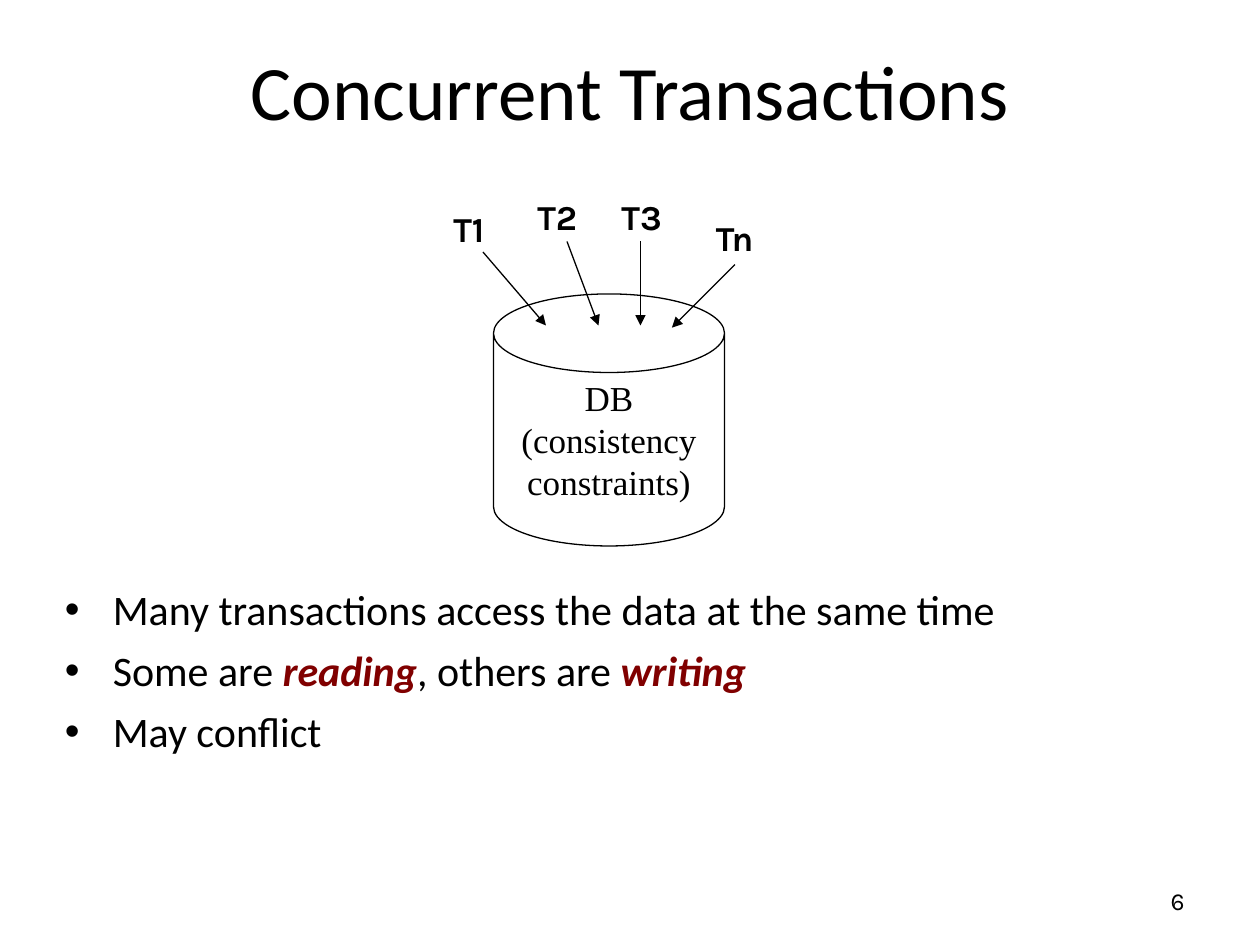
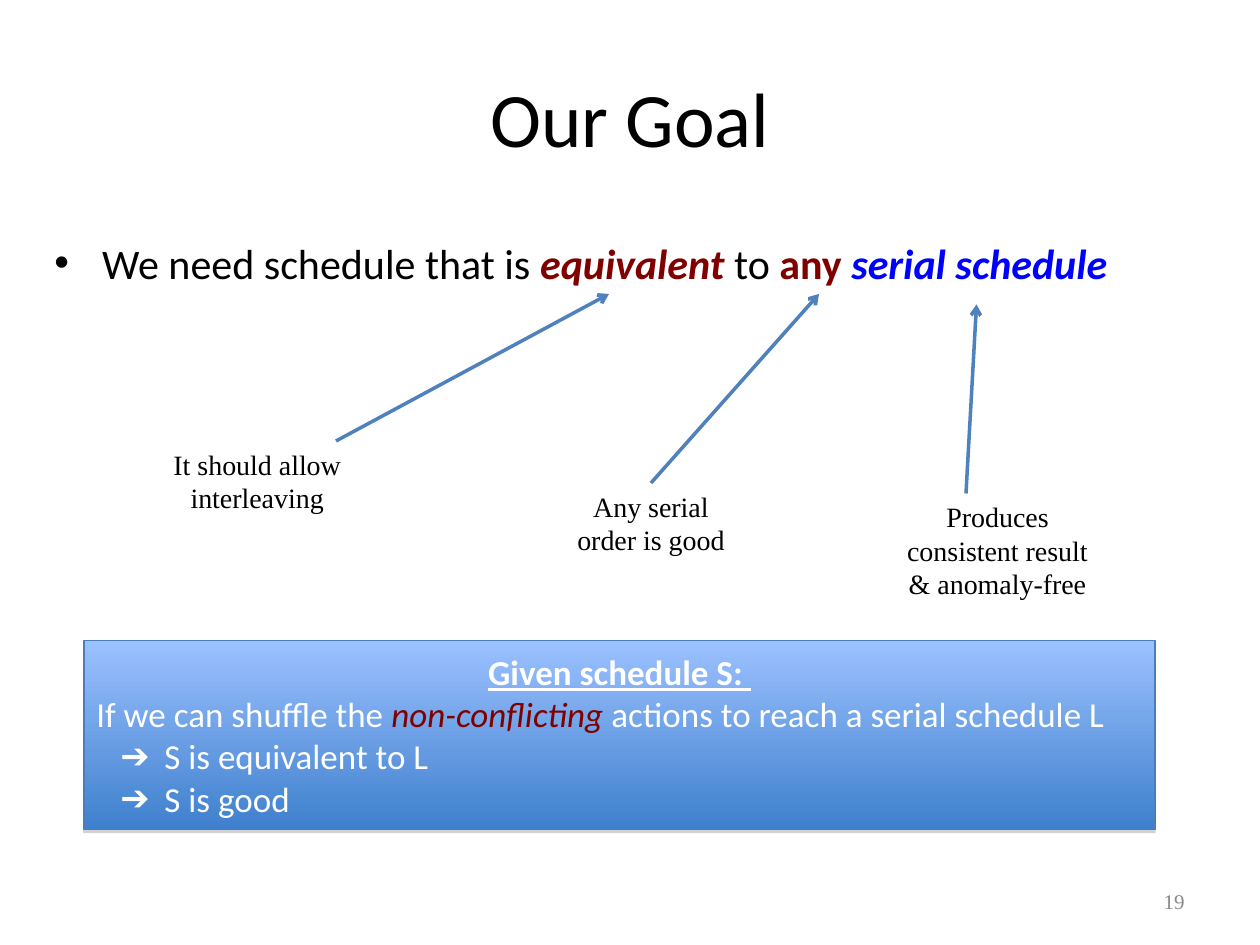
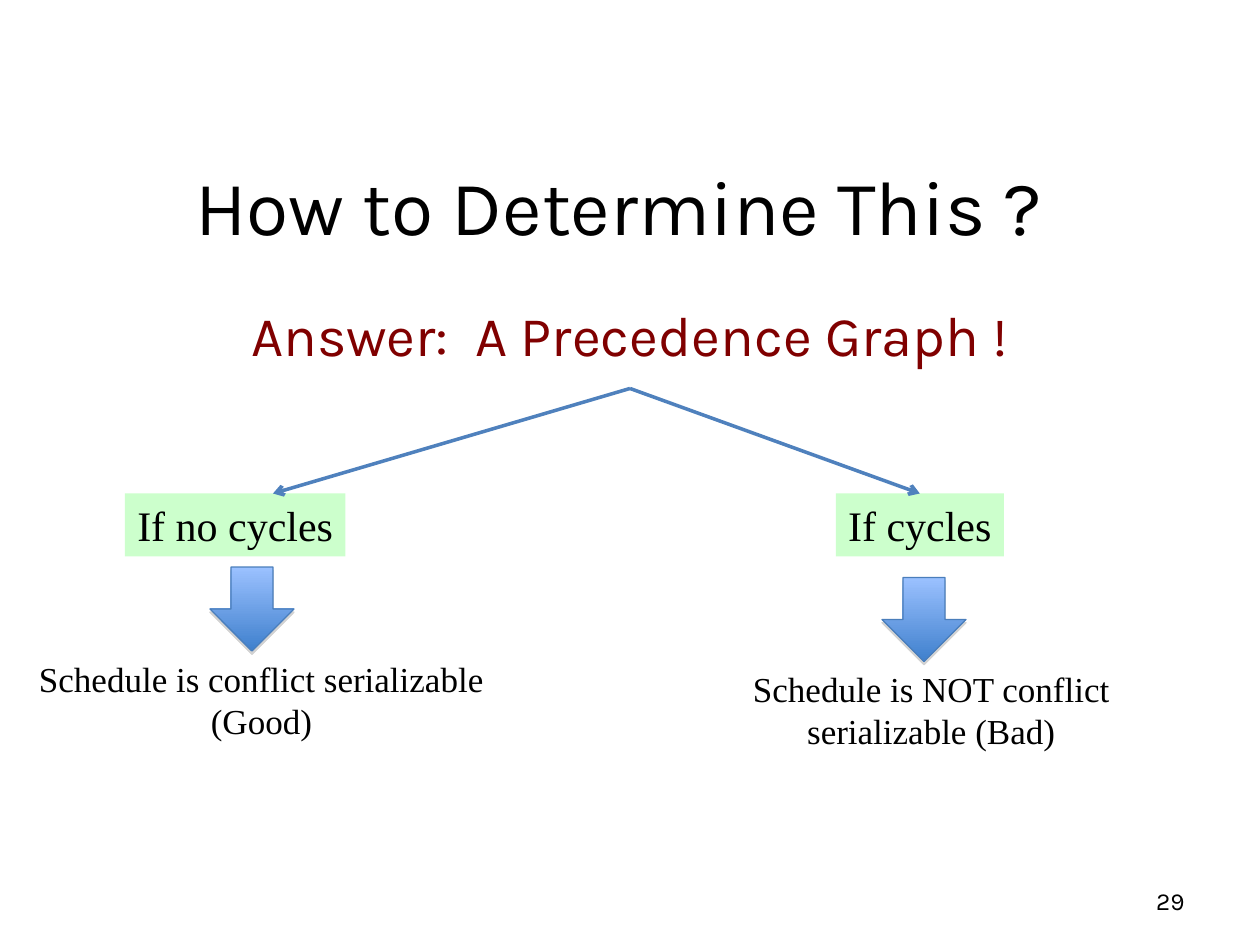
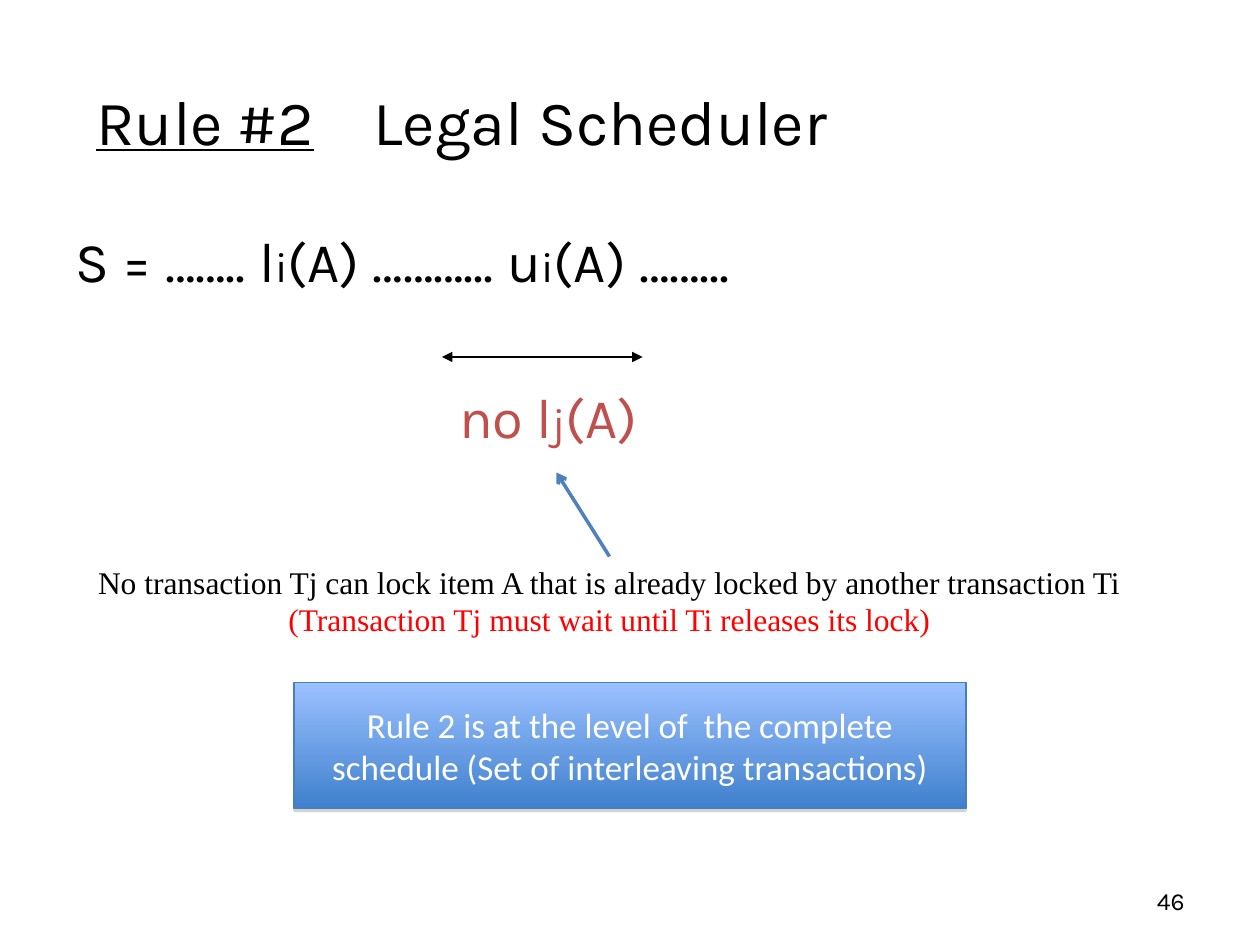
from lxml import etree
from pptx import Presentation
from pptx import util as u
from pptx.dml.color import RGBColor
from pptx.enum import shapes as kinds, text as t
from pptx.oxml.ns import qn

COLUMNS, ROWS = 120, 90
WIDTH, HEIGHT = u.Inches(10), u.Inches(7.5)

BLACK = RGBColor(0x00, 0x00, 0x00)
WHITE = RGBColor(0xFF, 0xFF, 0xFF)
MAROON = RGBColor(0x80, 0x00, 0x00)
BLUE = RGBColor(0x00, 0x00, 0xFF)
RED = RGBColor(0xFF, 0x00, 0x00)
BRICK = RGBColor(0xC0, 0x50, 0x4D)
GREY = RGBColor(0x89, 0x89, 0x89)
MINT = RGBColor(0xCC, 0xFF, 0xCC)
ARROW_BLUE = RGBColor(0x4F, 0x81, 0xBD)
EDGE_BLUE = RGBColor(0x4A, 0x7E, 0xBB)
PANEL_TOP = RGBColor(0x9B, 0xC1, 0xFF)
PANEL_BOTTOM = RGBColor(0x3F, 0x80, 0xCD)

SANS, SERIF, KARLA = "Calibri", "Times New Roman", "Karla"
LEFT, CENTER, RIGHT = t.PP_ALIGN.LEFT, t.PP_ALIGN.CENTER, t.PP_ALIGN.RIGHT
TOP, MIDDLE = t.MSO_ANCHOR.TOP, t.MSO_ANCHOR.MIDDLE
SHAPE = kinds.MSO_SHAPE

STRONG = dict(color=MAROON, bold=True, italic=True)
BULLET = dict(font=SANS, size=24, before=6, bullet="•", margin=0.38, hang=0.38)
THIN = dict(color=BLACK, width=0.75, tail="triangle")


def col(n):
    return round(WIDTH * n / COLUMNS)


def row(n):
    return round(HEIGHT * n / ROWS)


def place(box):
    left, top, width, height = box
    return col(left), row(top), col(width), row(height)


def within(box, left, top, width, height):
    return box[0] + left, box[1] + top, width, height


def point(box, x, y):
    return box[0] + x, box[1] + y


def child(parent, tag, **attributes):
    return etree.SubElement(parent, qn(tag), {k: str(v) for k, v in attributes.items()})


def style(run, font=SERIF, size=20, color=BLACK, bold=False, italic=False, underline=False):
    run.font.name = font
    run.font.size = u.Pt(size)
    run.font.color.rgb = color
    run.font.bold, run.font.italic, run.font.underline = bold, italic, underline


def write(frame, content, align=LEFT, before=0, bullet=None, margin=0, hang=0, tab=None, **look):
    first = frame.paragraphs[0]
    paragraph = frame.add_paragraph() if first.runs else first
    paragraph.alignment = align
    paragraph.space_before = u.Pt(before)
    properties = paragraph._p.get_or_add_pPr()
    if bullet:
        properties.set("marL", str(u.Inches(margin)))
        properties.set("indent", str(-u.Inches(hang)))
        child(properties, "a:buFont", typeface="Arial")
        child(properties, "a:buChar", char=bullet)
    if tab:
        child(child(properties, "a:tabLst"), "a:tab", pos=u.Inches(tab), algn="l")
    for piece in [content] if isinstance(content, str) else content:
        words, changes = (piece, {}) if isinstance(piece, str) else piece
        run = paragraph.add_run()
        run.text = words
        style(run, **{**look, **changes})


def text_box(shapes, box, *paragraphs, anchor=TOP, wrap=True, **look):
    label = shapes.add_textbox(*place(box))
    label.text_frame.word_wrap = wrap
    label.text_frame.vertical_anchor = anchor
    for content in paragraphs:
        write(label.text_frame, content, **look)
    return label


def outlined(shapes, kind, box, line=None):
    shape = shapes.add_shape(kind, *place(box))
    shape.shadow.inherit = False
    if line is None:
        shape.line.fill.background()
    else:
        shape.line.color.rgb = line
        shape.line.width = u.Pt(0.75)
    return shape


def glossy(shapes, kind, box):
    shape = outlined(shapes, kind, box, EDGE_BLUE)
    shape.fill.gradient()
    shape.fill.gradient_angle = 270
    for stop, color in zip(shape.fill.gradient_stops, (PANEL_TOP, PANEL_BOTTOM)):
        stop.color.rgb = color
    for stop, position in zip(shape.fill.gradient_stops, (0, 1)):
        stop.position = position
    effects = shape._element.spPr.find(qn("a:effectLst"))
    shadow = child(effects, "a:outerShdw", blurRad=0, dist=u.Pt(1.8), dir=5400000, rotWithShape=0)
    child(child(shadow, "a:srgbClr", val="808080"), "a:alpha", val=35000)
    shape.text_frame.word_wrap = True
    shape.text_frame.vertical_anchor = MIDDLE
    return shape


def arrow(shapes, start, end, color=ARROW_BLUE, width=2, head=None, tail="arrow"):
    line = shapes.add_connector(kinds.MSO_CONNECTOR.STRAIGHT,
                                col(start[0]), row(start[1]), col(end[0]), row(end[1]))
    line.line.color.rgb = color
    line.line.width = u.Pt(width)
    ends = line.line._get_or_add_ln()
    if head:
        child(ends, "a:headEnd", type=head)
    child(ends, "a:tailEnd", type=tail)
    child(line._element.spPr, "a:effectLst")
    return line


def title(shapes, box, content, font=SANS, size=44, align=CENTER, **look):
    text_box(shapes, box, content, anchor=MIDDLE, font=font, size=size, align=align, **look)


def page_number(shapes, number, font=KARLA, size=14, color=BLACK):
    text_box(shapes, (86, 83.4, 28, 4.8), number, anchor=MIDDLE, align=RIGHT,
             font=font, size=size, color=color)


def database(shapes, box):
    can = outlined(shapes, SHAPE.CAN, within(box, 5, 10, 22, 24), BLACK)
    can.adjustments[0] = 0.34
    can.fill.solid()
    can.fill.fore_color.rgb = WHITE
    can.text_frame.word_wrap = False
    can.text_frame.vertical_anchor = MIDDLE
    for words in ("DB", "(consistency", "constraints)"):
        write(can.text_frame, words, align=CENTER)
    transactions = (
        ("T1", (0, 1.2), (4, 6), (10, 13)),
        ("T2", (8, 0), (12, 5), (15, 13)),
        ("T3", (16, 0), (19, 5), (19, 13)),
        ("Tn", (25, 2), (28, 7.2), (22, 13.2)),
    )
    for name, corner, start, end in transactions:
        text_box(shapes, within(box, *corner, 9, 6), name, font=KARLA, bold=True, before=5)
        arrow(shapes, point(box, *start), point(box, *end), **THIN)


def reason(shapes, box, words, start, end, joined=False):
    group = shapes.add_group_shape().shapes
    note = text_box(group, box, words, size=16, align=CENTER)
    pointer = arrow(group, start, end)
    if joined:
        pointer.begin_connect(note, 0)


def shuffle_panel(shapes, box):
    frame = glossy(shapes, SHAPE.RECTANGLE, box).text_frame
    look = dict(font=SANS, color=WHITE)
    write(frame, "Given schedule S: ", align=CENTER, bold=True, underline=True, **look)
    write(frame, ["If we can shuffle the ",
                  ("non-conflicting ", dict(color=MAROON, italic=True)),
                  "actions to reach a serial schedule L"], **look)
    for result in ("S is equivalent to L", "S is good"):
        write(frame, result, bullet="➔", margin=0.54, hang=0.35, **look)


def outcome(shapes, box, case, case_left, case_width, verdict, arrow_left, arrow_top):
    tag = outlined(shapes, SHAPE.RECTANGLE, within(box, case_left, 0, case_width, 6))
    tag.fill.solid()
    tag.fill.fore_color.rgb = MINT
    tag.text_frame.word_wrap = False
    tag.text_frame.vertical_anchor = TOP
    write(tag.text_frame, case, size=24, align=CENTER)
    glossy(shapes, SHAPE.DOWN_ARROW, within(box, arrow_left, arrow_top, 8, 8))
    text_box(shapes, within(box, 0, arrow_top + 8, box[2], 9.2), verdict, align=CENTER)
    return tag


def lock_interval(shapes, box):
    y = box[1] + 2
    arrow(shapes, (box[0] + 0.9, y), (box[0] + 20, y), head="triangle", **THIN)
    text_box(shapes, within(box, 0, 3.8, box[2], 7.7),
             [" ", "no l", ("j", dict(size=24)), "(A)"],
             anchor=MIDDLE, wrap=False, align=CENTER, font=KARLA, size=32, color=BRICK)


def concurrent_transactions(shapes):
    database(shapes, (42, 18, 34, 34))
    title(shapes, (6, 1, 108, 15), "Concurrent Transactions")
    text_box(shapes, (5, 55, 111, 19.4),
             "Many transactions access the data at the same time",
             ["Some are ", ("reading", STRONG), ", others are ", ("writing", STRONG)],
             "May conflict", **BULLET)
    page_number(shapes, "6")


def our_goal(shapes):
    title(shapes, (6, 3.6, 108, 15), "Our Goal")
    text_box(shapes, (4, 22, 108, 9),
             ["We need schedule that is ", ("equivalent", STRONG), " to ",
              ("any ", dict(color=MAROON, bold=True)),
              ("serial schedule", dict(color=BLUE, bold=True, italic=True))], **BULLET)
    reason(shapes, (10, 42, 29, 7.7), "It should allow interleaving", (32, 42), (58, 28))
    reason(shapes, (53, 46, 18, 7.7), "Any serial order is good", (62, 46), (78, 28), joined=True)
    reason(shapes, (84, 47, 22, 10.8), "Produces consistent result & anomaly-free",
           (92, 47), (93, 29))
    shuffle_panel(shapes, (8, 61, 102, 18))
    page_number(shapes, "19", font=SERIF, size=12, color=GREY)


def how_to_determine(shapes):
    title(shapes, (8, 12, 102, 15), "How to Determine This ?", font=KARLA)
    answer = text_box(shapes, (18, 28, 84, 9), "Answer:  A Precedence Graph !",
                      font=KARLA, size=32, color=MAROON, align=CENTER, before=8)
    outcome(shapes, (0.1, 47, 49.6, 24), "If no cycles", 11.8, 21,
            "Schedule is conflict serializable (Good)", 19.9, 7)
    cycles = outcome(shapes, (64, 47, 49.4, 24), "If cycles", 15.6, 16,
                     "Schedule is NOT conflict serializable (Bad)", 20, 8)
    branches = [arrow(shapes, (60, 37), (x, 47)) for x in (26, 87.6)]
    for branch in branches:
        branch.begin_connect(answer, 2)
    branches[1].end_connect(cycles, 0)
    page_number(shapes, "29")


def legal_scheduler(shapes):
    title(shapes, (8, 4, 102, 15), [("Rule #2", dict(underline=True)), "\tLegal Scheduler"],
          font=KARLA, size=36, align=LEFT, tab=2.2)
    small = ("i", dict(size=24))
    text_box(shapes, (6, 21, 108, 59.4),
             ["S = …….. l", small, "(A) ………... u", small, "(A) ……..."],
             font=KARLA, size=32, before=8)
    lock_interval(shapes, (41.2, 32, 20.8, 12))
    rule = text_box(shapes, (7.9, 53, 100.3, 8.4), wrap=False)
    write(rule.text_frame, "No transaction Tj can lock item A that is already locked "
          "by another transaction Ti", size=18, align=CENTER)
    write(rule.text_frame, "(Transaction Tj must wait until Ti releases its lock)",
          size=18, color=RED, align=CENTER)
    arrow(shapes, (58, 53), (53, 45)).begin_connect(rule, 0)
    panel = glossy(shapes, SHAPE.RECTANGLE, (28, 65, 64, 12))
    write(panel.text_frame, "Rule 2 is at the level of  the complete schedule "
          "(Set of interleaving transactions)", font=SANS, color=WHITE, align=CENTER)
    page_number(shapes, "46")


def main():
    deck = Presentation()
    deck.slide_width, deck.slide_height = WIDTH, HEIGHT
    for build in (concurrent_transactions, our_goal, how_to_determine, legal_scheduler):
        build(deck.slides.add_slide(deck.slide_layouts[6]).shapes)
    deck.save("out.pptx")


if __name__ == "__main__":
    main()
